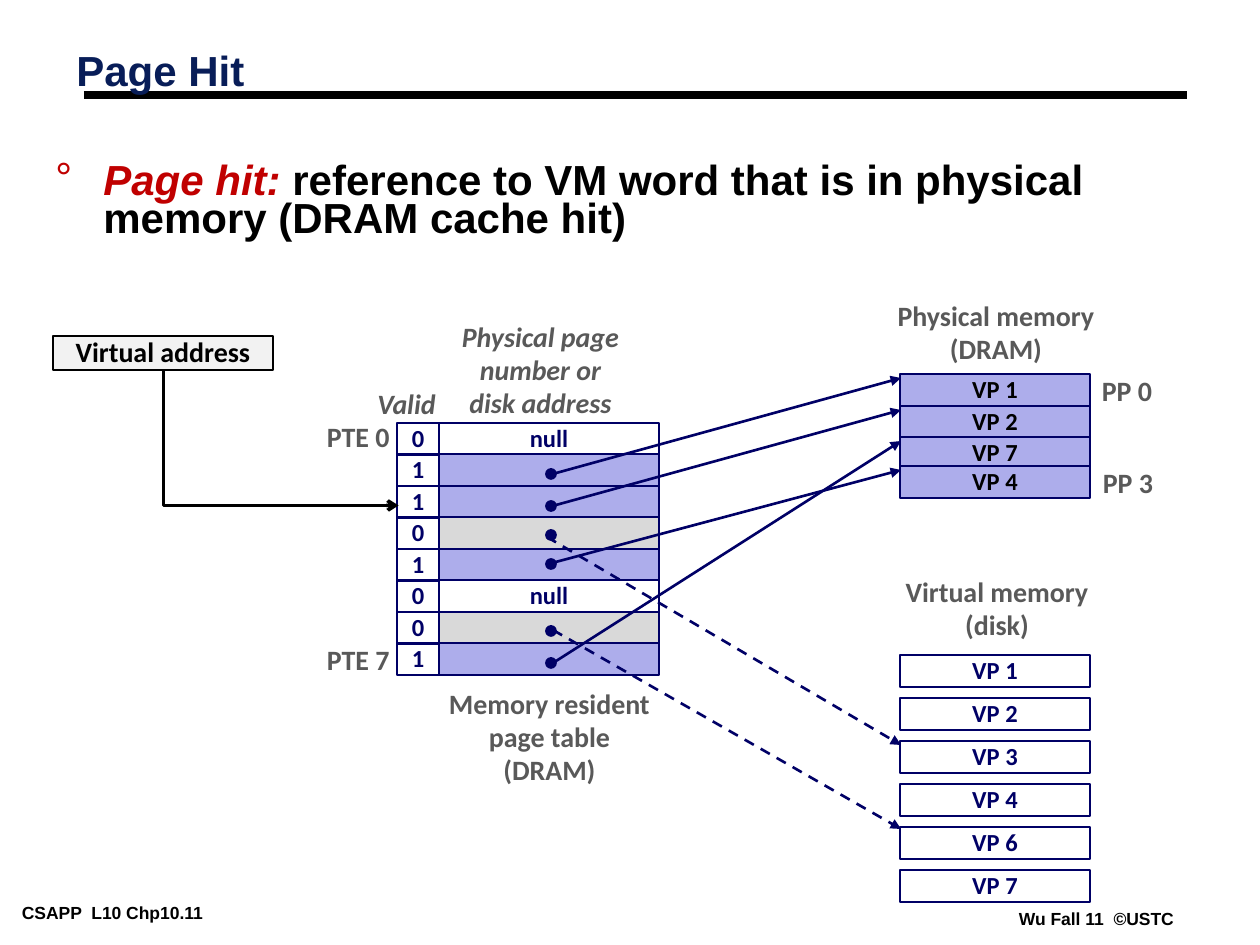
"""Build the Page Hit slide: a page table pointing into DRAM and disk."""
from lxml.etree import SubElement
from pptx import Presentation
from pptx.dml.color import RGBColor
from pptx.enum.dml import MSO_LINE
from pptx.enum.shapes import MSO_CONNECTOR, MSO_SHAPE
from pptx.enum.text import MSO_ANCHOR, PP_ALIGN
from pptx.oxml.ns import qn
from pptx.util import Emu, Pt

BLACK = RGBColor(0x00, 0x00, 0x00)
WHITE = RGBColor(0xFF, 0xFF, 0xFF)
NAVY = RGBColor(0x00, 0x00, 0x66)
TITLE_BLUE = RGBColor(0x08, 0x1D, 0x58)
RED = RGBColor(0xC0, 0x00, 0x00)
LABEL_GRAY = RGBColor(0x59, 0x59, 0x59)
DISK_GRAY = RGBColor(0xD9, 0xD9, 0xD9)
PALE_GRAY = RGBColor(0xF2, 0xF2, 0xF2)
LILAC = RGBColor(0xAD, 0xAD, 0xEB)

LEFT, CENTER, RIGHT = PP_ALIGN.LEFT, PP_ALIGN.CENTER, PP_ALIGN.RIGHT

TITLE = "Page Hit"
BODY = [("Page hit: ", RED, True),
        ("reference to VM word that is in physical memory (DRAM cache hit)", BLACK, False)]
FOOTERS = [("CSAPP  L10 Chp10.11", (13, 898, 265, 28)),
           ("Wu Fall 11  ©USTC", (1010, 904, 174, 28))]
LABELS = [
    (["Memory resident", "page table", "(DRAM)"], (436, 682, 227, 112), CENTER, False),
    (["Physical memory", "(DRAM)"], (885, 294, 222, 78), CENTER, False),
    (["Virtual memory", "(disk)"], (893, 570, 208, 78), CENTER, False),
    (["Valid"], (365, 382, 95, 45), LEFT, True),
    (["Physical page", "number or", "disk address"], (449, 315, 183, 112), CENTER, True),
    (["PTE 0"], (314, 415, 88, 45), RIGHT, False),
    (["PTE 7"], (314, 638, 88, 45), RIGHT, False),
    (["PP 0"], (1089, 369, 76, 45), CENTER, False),
    (["PP 3"], (1090, 461, 76, 45), CENTER, False),
]
PAGE_TABLE = [("0", "null", WHITE), ("1", "", LILAC), ("1", "", LILAC), ("0", "", DISK_GRAY),
              ("1", "", LILAC), ("0", "null", WHITE), ("0", "", DISK_GRAY), ("1", "", LILAC)]
PHYSICAL_PAGES = [("VP 1", 374), ("VP 2", 406), ("VP 7", 437), ("VP 4", 466)]
DISK_PAGES = ["VP 1", "VP 2", "VP 3", "VP 4", "VP 6", "VP 7"]
POINTERS = [
    (469, (549, 475), 378, False),
    (501, (556, 505), 410, False),
    (530, (547, 537), 745, True),
    (559, (552, 563), 470, False),
    (626, (553, 630), 829, True),
    (658, (553, 663), 441, False),
]

VALID_LEFT, VALID_WIDTH = 397, 42
ENTRY_LEFT, ENTRY_WIDTH = 439, 220
TABLE_TOP, TABLE_HEIGHT, CELL_HEIGHT = 423, 252, 32
PAGE_LEFT, PAGE_WIDTH = 900, 190
DISK_TOP, DISK_STEP = 655, 43
DOT_LEFT, DOT_SIZE = 546, 10


def px(length):
    return Emu(round(length * 914400 / 126))


def add_run(paragraph, text, size, color, font="Calibri", italic=False):
    run = paragraph.add_run()
    run.text = text
    run.font.name, run.font.size = font, Pt(size)
    run.font.bold, run.font.italic = True, italic
    run.font.color.rgb = color


def add_text(slide, box, lines, size, color, align=LEFT, font="Calibri", italic=False,
             spacing=0.98, anchor=MSO_ANCHOR.TOP, margins=None):
    frame = slide.shapes.add_textbox(*map(px, box)).text_frame
    frame.word_wrap = False
    frame.vertical_anchor = anchor
    if margins:
        frame.margin_left = frame.margin_right = px(margins[0])
        frame.margin_top = frame.margin_bottom = px(margins[1])
    for index, line in enumerate(lines):
        paragraph = frame.add_paragraph() if index else frame.paragraphs[0]
        paragraph.alignment, paragraph.line_spacing = align, spacing
        add_run(paragraph, line, size, color, font, italic)


def add_body(slide):
    frame = slide.shapes.add_textbox(*map(px, (43, 159, 1145, 88))).text_frame
    frame.word_wrap = True
    paragraph = frame.paragraphs[0]
    paragraph.line_spacing = 0.75
    properties = paragraph._p.get_or_add_pPr()
    properties.set("marL", str(px(48)))
    properties.set("indent", str(px(-48)))
    bullet_color = SubElement(properties, qn("a:buClr"))
    SubElement(bullet_color, qn("a:srgbClr"), val=str(RED))
    SubElement(properties, qn("a:buFont"), typeface="Arial")
    SubElement(properties, qn("a:buChar"), char="°")
    for text, color, italic in BODY:
        add_run(paragraph, text, 24, color, "Arial", italic)


def add_box(slide, box, fill, text="", color=NAVY, size=14, line=NAVY, width=1.5,
            kind=MSO_SHAPE.RECTANGLE):
    shape = slide.shapes.add_shape(kind, *map(px, box))
    shape.shadow.inherit = False
    if fill is None:
        shape.fill.background()
    else:
        shape.fill.solid()
        shape.fill.fore_color.rgb = fill
    shape.line.color.rgb, shape.line.width = line, Pt(width)
    if text:
        frame = shape.text_frame
        frame.word_wrap = False
        frame.vertical_anchor = MSO_ANCHOR.MIDDLE
        paragraph = frame.paragraphs[0]
        paragraph.alignment, paragraph.line_spacing = CENTER, 0.98
        add_run(paragraph, text, size, color)


def add_line(slide, start, end, color, width, head=None, dashed=False,
             kind=MSO_CONNECTOR.STRAIGHT):
    connector = slide.shapes.add_connector(kind, *map(px, start + end))
    connector.line.color.rgb, connector.line.width = color, Pt(width)
    if dashed:
        connector.line.dash_style = MSO_LINE.DASH
    if head:
        SubElement(connector.line._get_or_add_ln(), qn("a:tailEnd"), type=head)
    SubElement(connector._element.spPr, qn("a:effectLst"))
    return connector


def add_address_arrow(slide):
    connector = add_line(slide, (213, 320), (349, 555), BLACK, 2, "arrow",
                         kind=MSO_CONNECTOR.ELBOW)
    properties = connector._element.spPr
    properties.find(qn("a:prstGeom")).set("prst", "bentConnector2")
    transform = properties.find(qn("a:xfrm"))
    transform.set("rot", "16200000")
    transform.set("flipH", "1")


def main():
    presentation = Presentation()
    presentation.slide_width, presentation.slide_height = px(1260), px(945)
    slide = presentation.slides.add_slide(presentation.slide_layouts[6])

    for text, box in FOOTERS:
        add_text(slide, box, [text], 10, BLACK, font="Arial", spacing=1, margins=(9, 4))
    add_line(slide, (84, 95), (1187, 95), BLACK, 4.5)
    add_text(slide, (64, 45, 1142, 57), [TITLE], 24, TITLE_BLUE, font="Arial",
             spacing=0.87, anchor=MSO_ANCHOR.MIDDLE)
    add_body(slide)

    for row, (valid, entry, fill) in enumerate(PAGE_TABLE):
        top = TABLE_TOP + row * TABLE_HEIGHT // len(PAGE_TABLE)
        add_box(slide, (ENTRY_LEFT, top, ENTRY_WIDTH, CELL_HEIGHT), fill, entry)
        add_box(slide, (VALID_LEFT, top, VALID_WIDTH, CELL_HEIGHT), None, valid)
    for name, top in PHYSICAL_PAGES:
        add_box(slide, (PAGE_LEFT, top, PAGE_WIDTH, CELL_HEIGHT), LILAC, name, BLACK)
    for row, name in enumerate(DISK_PAGES):
        top = DISK_TOP + row * DISK_STEP
        add_box(slide, (PAGE_LEFT, top, PAGE_WIDTH, CELL_HEIGHT), WHITE, name)

    for dot_top, start, target, dashed in POINTERS:
        add_box(slide, (DOT_LEFT, dot_top, DOT_SIZE, DOT_SIZE), NAVY, width=1,
                kind=MSO_SHAPE.OVAL)
        add_line(slide, start, (PAGE_LEFT + 1, target), NAVY, 1.5, "triangle", dashed)
    for lines, box, align, italic in LABELS:
        add_text(slide, box, lines, 16, LABEL_GRAY, align, italic=italic)

    add_box(slide, (53, 336, 220, 34), PALE_GRAY, "Virtual address", BLACK, 16, BLACK, 1)
    add_address_arrow(slide)
    presentation.save("out.pptx")


if __name__ == "__main__":
    main()
